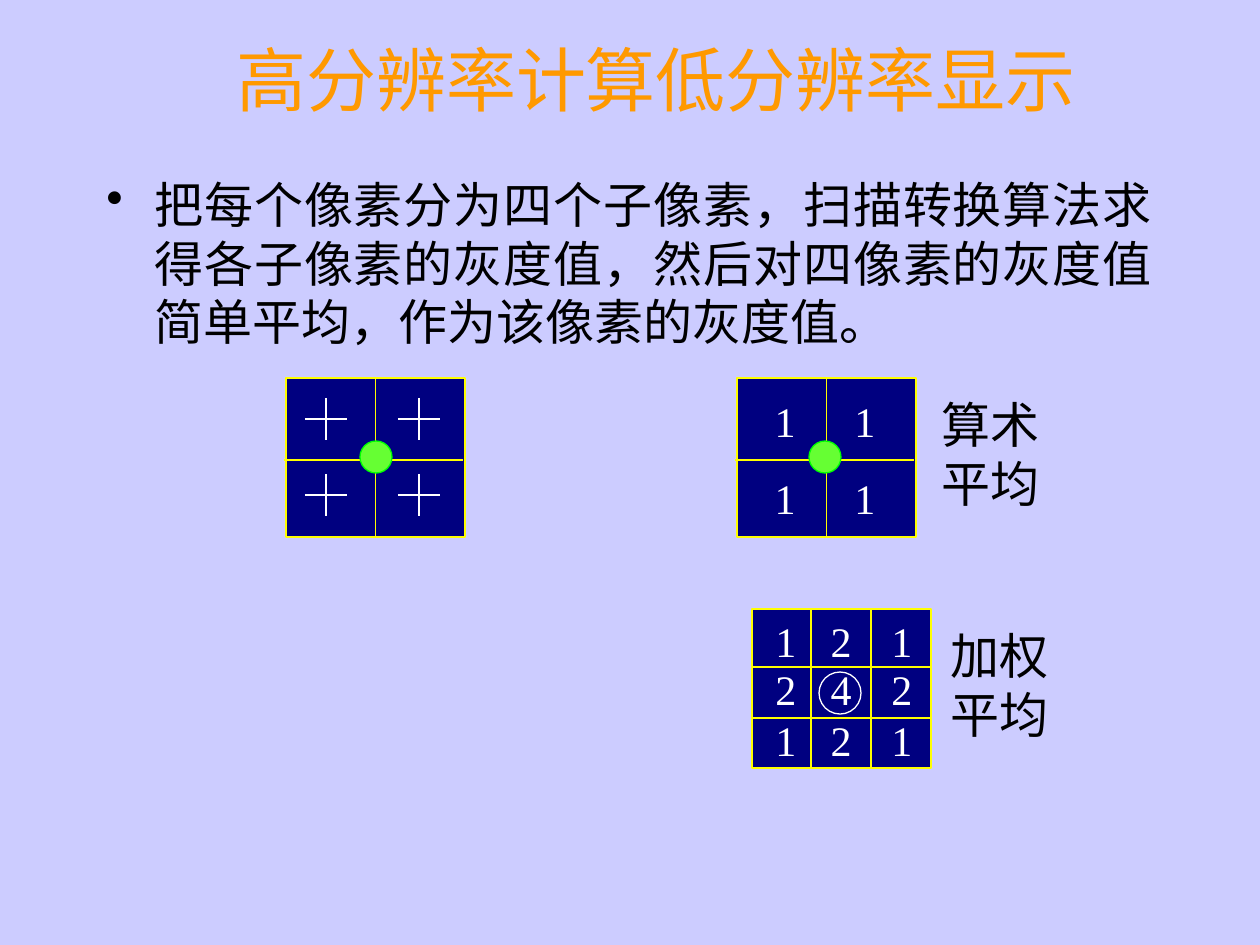
"""Build a slide on averaging subpixels for antialiasing."""
import pptx
import pptx.util
import pptx.dml.color
import pptx.enum.shapes
import pptx.enum.text
import pptx.oxml.ns
import lxml.etree

THEME = dict(
    back="CCCCFF", title="FF9900", ink="000000", light="FFFFFF", cell="000080",
    grid="FFFF00", dot="66FF33", rim="00FF00", font="Times New Roman",
    head=40, body=28, digit=24, line=0.75)
TITLE = "高分辨率计算低分辨率显示"
BODY = "把每个像素分为四个子像素，扫描转换算法求得各子像素的灰度值，然后对四像素的灰度值简单平均，作为该像素的灰度值。"
BOX = (179, 159)
HALVES = [dict(left=286, top=378, dot=(360, 441)),
          dict(left=737, top=378, dot=(809, 441))]
CROSS = dict(cols=[326, 419], rows=[419, 495], arm=21)
WEIGHT = dict(left=752, top=609, cols=[811, 871], rows=[667, 718])
TABLES = [
    dict(rows=["11", "11"], xs=[735, 815], ys=[389, 466]),
    dict(rows=["121", "242", "121"], xs=[736, 791, 852], ys=[609, 657, 708])]
LABELS = [("算术平均", (926, 388, 129, 131)), ("加权平均", (935, 619, 129, 131))]
DIGIT = (100, 63)
DOT, RING = 32, (819, 672, 42, 42)

ALIGN = pptx.enum.text.PP_ALIGN
KIND = pptx.enum.shapes.MSO_SHAPE


def px(n):
    return round(n * 914400 / 126)


def hue(name):
    return pptx.dml.color.RGBColor.from_string(THEME[name])


def text(slide, words, at, size="body", color="ink", align=ALIGN.CENTER,
         anchor=pptx.enum.text.MSO_ANCHOR.TOP, bullet=False):
    frame = slide.shapes.add_textbox(*map(px, at)).text_frame
    frame.word_wrap = True
    frame.vertical_anchor = anchor
    para = frame.paragraphs[0]
    para.alignment = align
    if bullet:
        props = para._p.get_or_add_pPr()
        props.set("marL", str(px(48)))
        props.set("indent", str(px(-48)))
        mark = lxml.etree.SubElement(props, pptx.oxml.ns.qn("a:buChar"))
        mark.set("char", "•")
    run = para.add_run()
    run.text = words
    run.font.name = THEME["font"]
    run.font.size = pptx.util.Pt(THEME[size])
    run.font.color.rgb = hue(color)


def shape(slide, kind, at, line, fill=None):
    item = slide.shapes.add_shape(kind, *map(px, at))
    item.shadow.inherit = False
    if fill:
        item.fill.solid()
        item.fill.fore_color.rgb = hue(fill)
    else:
        item.fill.background()
    item.line.color.rgb = hue(line)
    item.line.width = pptx.util.Pt(THEME["line"])
    return item


def line(slide, start, end, color="grid"):
    item = slide.shapes.add_connector(
        pptx.enum.shapes.MSO_CONNECTOR.STRAIGHT, *map(px, start + end))
    item.line.color.rgb = hue(color)
    item.line.width = pptx.util.Pt(THEME["line"])
    lxml.etree.SubElement(item._element.spPr, pptx.oxml.ns.qn("a:effectLst"))
    return item


def halves(slide, left, top, dot):
    wide, high = BOX
    box = shape(slide, KIND.RECTANGLE, (left, top, *BOX), "grid", "cell")
    line(slide, (left - 2, top + 82), (left + wide - 2, top + 82))
    mid = left + wide / 2
    split = line(slide, (mid, top), (mid, top + high))
    split.begin_connect(box, 0)
    split.end_connect(box, 2)
    shape(slide, KIND.OVAL, (*dot, DOT, DOT), "rim", "dot")


def thirds(slide, left, top, cols, rows):
    wide, high = BOX
    shape(slide, KIND.RECTANGLE, (left, top, *BOX), "grid", "cell")
    for x in cols:
        line(slide, (x, top), (x, top + high))
    for y in rows:
        line(slide, (left, y), (left + wide, y))


def crosses(slide, cols, rows, arm):
    for y in rows:
        for x in cols:
            line(slide, (x - arm, y), (x + arm, y), "light")
            line(slide, (x, y - arm), (x, y + arm), "light")


def digits(slide, rows, xs, ys):
    for row, y in zip(rows, ys):
        for digit, x in zip(row, xs):
            text(slide, digit, (x, y, *DIGIT), size="digit", color="light")


def main():
    deck = pptx.Presentation()
    deck.slide_width, deck.slide_height = px(1260), px(945)
    slide = deck.slides.add_slide(deck.slide_layouts[6])
    slide.background.fill.solid()
    slide.background.fill.fore_color.rgb = hue("back")
    text(slide, TITLE, (157, 0, 998, 157), size="head", color="title",
         anchor=pptx.enum.text.MSO_ANCHOR.MIDDLE)
    text(slide, BODY, (94, 168, 1071, 672), align=ALIGN.JUSTIFY, bullet=True)
    for half in HALVES:
        halves(slide, **half)
    crosses(slide, **CROSS)
    thirds(slide, **WEIGHT)
    for table in TABLES:
        digits(slide, **table)
    for words, at in LABELS:
        text(slide, words, at)
    shape(slide, KIND.OVAL, RING, "light")
    deck.save("out.pptx")


if __name__ == "__main__":
    main()
